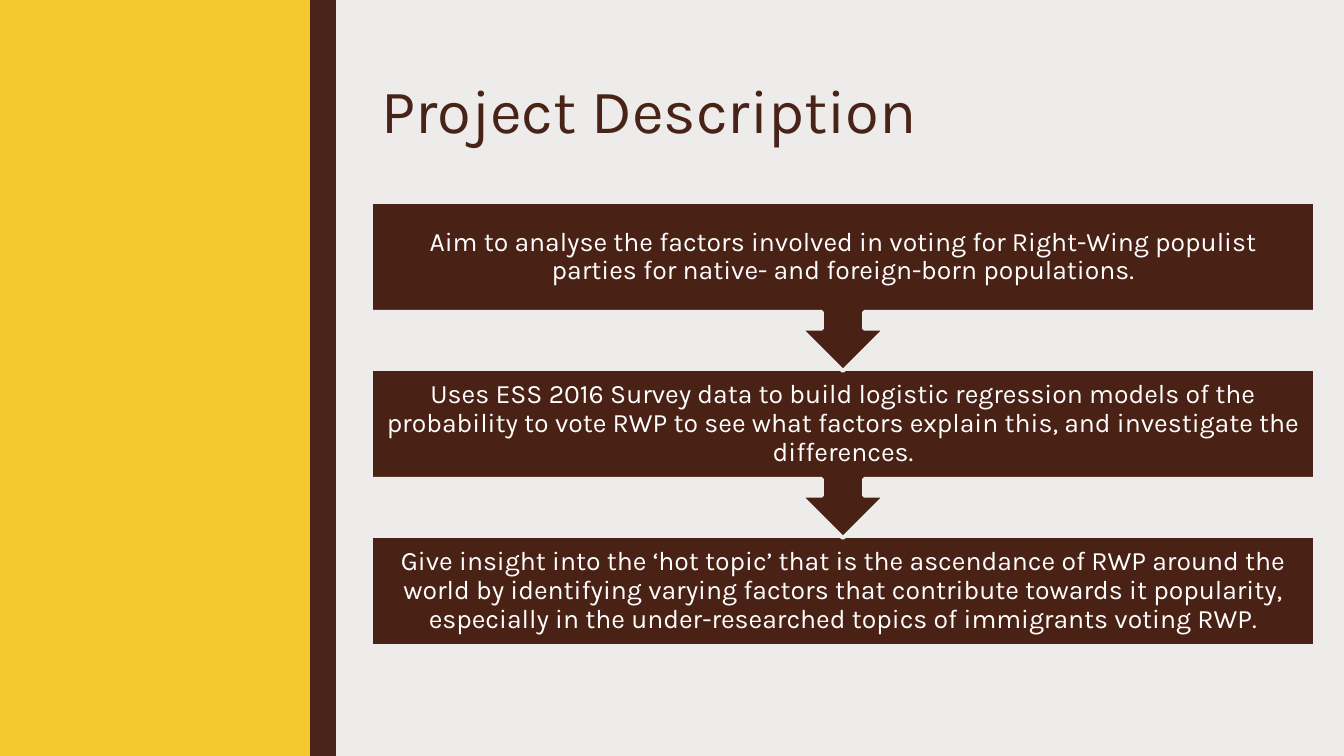
from dataclasses import dataclass

from pptx import Presentation, util as u
from pptx.dml.color import RGBColor
from pptx.enum import shapes, text

SCALE = 12192000 / 1344
FONT = "Karla"
PAPER = RGBColor(0xED, 0xEC, 0xEB)
YELLOW = RGBColor(0xF3, 0xC8, 0x2E)
BROWN = RGBColor(0x4A, 0x23, 0x18)
BOX_BROWN = RGBColor(0x4A, 0x21, 0x15)
WHITE = RGBColor(0xFF, 0xFF, 0xFF)
RECT = shapes.MSO_SHAPE.RECTANGLE
CALLOUT = shapes.MSO_SHAPE.DOWN_ARROW_CALLOUT
STEP_LEFT, STEP_TOP, STEP_WIDTH, STEP_PITCH = 371, 202, 944, 167
STEP_INSET = 15


@dataclass(frozen=True)
class Panel:
    left: int
    width: int
    color: RGBColor


@dataclass(frozen=True)
class Step:
    words: str
    kind: shapes.MSO_SHAPE
    height: int


PANELS = [Panel(0, 310, YELLOW), Panel(310, 26, BROWN)]
STEPS = [
    Step("Aim to analyse the factors involved in voting for Right-Wing populist "
         "parties for native- and foreign-born populations.", CALLOUT, 169),
    Step("Uses ESS 2016 Survey data to build logistic regression models of the "
         "probability to vote RWP to see what factors explain this, and "
         "investigate the differences.", CALLOUT, 169),
    Step("Give insight into the ‘hot topic’ that is the ascendance of RWP around "
         "the world by identifying varying factors that contribute towards it "
         "popularity, especially in the under-researched topics of immigrants "
         "voting RWP.", RECT, 110),
]


def px(n: int) -> int:
    return round(n * SCALE)


def add_filled(s, kind: shapes.MSO_SHAPE, left: int, top: int, width: int,
               height: int, color: RGBColor):
    sp = s.shapes.add_shape(kind, px(left), px(top), px(width), px(height))
    sp.shadow.inherit = False
    sp.fill.solid()
    sp.fill.fore_color.rgb = color
    sp.line.fill.background()
    return sp


def write(tf, words: str, size: int, color: RGBColor, align, anchor,
          spacing: float) -> None:
    tf.text = words
    tf.word_wrap = True
    tf.auto_size = text.MSO_AUTO_SIZE.NONE
    tf.vertical_anchor = anchor
    p = tf.paragraphs[0]
    p.alignment = align
    p.line_spacing = spacing
    p.font.name = FONT
    p.font.size = u.Pt(size)
    p.font.color.rgb = color


def add_title(s, words: str) -> None:
    sp = s.shapes.title
    sp.left, sp.top, sp.width, sp.height = px(371), px(76), px(850), px(163)
    write(sp.text_frame, words, 44, BROWN, text.PP_ALIGN.LEFT,
          text.MSO_ANCHOR.TOP, 0.89)


def add_step(s, step: Step, top: int) -> None:
    sp = add_filled(s, step.kind, STEP_LEFT, top, STEP_WIDTH, step.height, BOX_BROWN)
    if step.kind == CALLOUT:
        for i, value in enumerate((0.25, 0.25, 0.25, 0.65)):
            sp.adjustments[i] = value
    sp.line.color.rgb = PAPER
    sp.line.width = u.Pt(2.75)
    tf = sp.text_frame
    tf.margin_left = tf.margin_right = px(STEP_INSET)
    tf.margin_top = tf.margin_bottom = px(STEP_INSET)
    write(tf, step.words, 19, WHITE, text.PP_ALIGN.CENTER,
          text.MSO_ANCHOR.MIDDLE, 0.9)


def main() -> None:
    prs = Presentation()
    prs.slide_width, prs.slide_height = px(1344), px(756)
    s = prs.slides.add_slide(prs.slide_layouts[5])
    s.background.fill.solid()
    s.background.fill.fore_color.rgb = PAPER
    add_title(s, "Project Description")
    for panel in PANELS:
        add_filled(s, RECT, panel.left, 0, panel.width, 756, panel.color)
    for i, step in reversed(list(enumerate(STEPS))):
        add_step(s, step, STEP_TOP + i * STEP_PITCH)
    prs.save("out.pptx")


if __name__ == "__main__":
    main()
